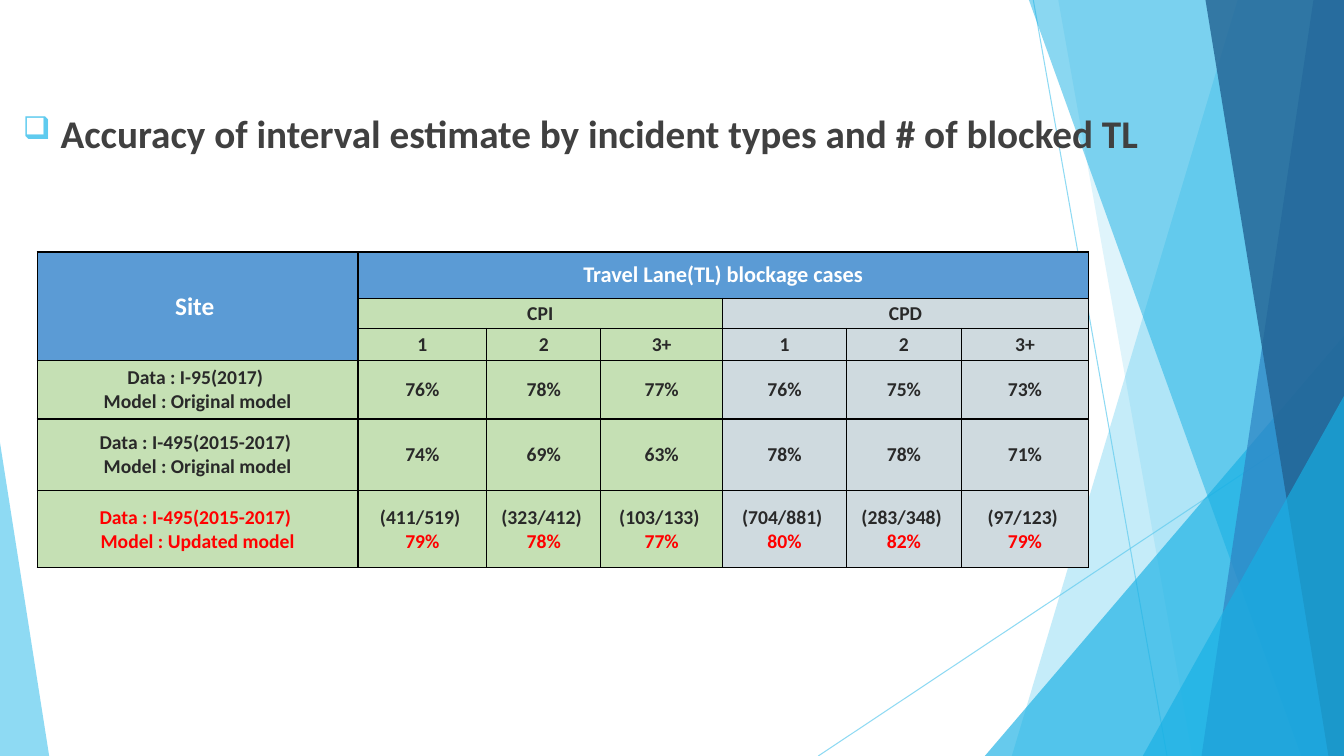
from dataclasses import dataclass

from lxml import etree
from pptx import Presentation
from pptx.dml.color import RGBColor
from pptx.enum.shapes import MSO_CONNECTOR, MSO_SHAPE
from pptx.enum.text import MSO_ANCHOR, PP_ALIGN
from pptx.oxml.ns import qn
from pptx.util import Cm, Pt

STRAIGHT = MSO_CONNECTOR.STRAIGHT
TRIANGLE = MSO_SHAPE.ISOSCELES_TRIANGLE
MIDDLE = MSO_ANCHOR.MIDDLE
CENTER = PP_ALIGN.CENTER
WIDTH, HEIGHT = 33.87, 19.05


@dataclass(frozen=True)
class Theme:
    font: str = "Calibri"
    sky: str = "5FCBEF"
    cyan: str = "17B0E4"
    blue: str = "2E83C3"
    navy: str = "226292"
    title: str = "404040"
    header: str = "5B9BD5"
    green: str = "C5E0B4"
    grey: str = "CFDADF"
    white: str = "FFFFFF"
    ink: str = "292929"
    red: str = "FF0000"
    border: str = "000000"
    title_size: int = 28
    site_size: int = 18
    header_size: int = 16
    body_size: int = 14


class SlideBuilder:
    def __init__(self, s, theme):
        self.s = s
        self.theme = theme

    def set_alpha(self, sp, percent):
        for color in sp._element.spPr.iter(qn("a:srgbClr")):
            etree.SubElement(color, qn("a:alpha"), val=str(percent * 1000))

    def line(self, x1, y1, x2, y2, color, alpha):
        cn = self.s.shapes.add_connector(STRAIGHT, Cm(x1), Cm(y1), Cm(x2), Cm(y2))
        cn.line.color.rgb = RGBColor.from_string(color)
        cn.line.width = Pt(0.75)
        self.set_alpha(cn, alpha)
        etree.SubElement(cn._element.spPr, qn("a:effectLst"))

    def paint(self, sp, color, alpha):
        sp.shadow.inherit = False
        sp.fill.solid()
        sp.fill.fore_color.rgb = RGBColor.from_string(color)
        sp.line.fill.background()
        self.set_alpha(sp, alpha)

    def right_band(self, top_x, bottom_x, color, alpha):
        """Full-height band from a slanted left edge to the slide's right side."""
        fb = self.s.shapes.build_freeform(Cm(top_x), 0)
        fb.add_line_segments([(Cm(WIDTH), 0), (Cm(WIDTH), Cm(HEIGHT)),
                              (Cm(bottom_x), Cm(HEIGHT))], close=True)
        self.paint(fb.convert_to_shape(), color, alpha)

    def corner(self, x, y, w, apex, color, alpha):
        """Triangle standing on the slide's bottom edge."""
        sp = self.s.shapes.add_shape(TRIANGLE, Cm(x), Cm(y), Cm(w), Cm(HEIGHT - y))
        sp.adjustments[0] = apex
        self.paint(sp, color, alpha)

    def run(self, p, text, size, color):
        r = p.add_run()
        r.text = text
        r.font.name = self.theme.font
        r.font.size = Pt(size)
        r.font.bold = True
        r.font.color.rgb = RGBColor.from_string(color)

    def bullet_title(self, x, y, w, h, text):
        tf = self.s.shapes.add_textbox(Cm(x), Cm(y), Cm(w), Cm(h)).text_frame
        tf.word_wrap = True
        p = tf.paragraphs[0]
        pPr = p._p.get_or_add_pPr()
        pPr.set("marL", str(Cm(0.95)))
        pPr.set("indent", str(-Cm(0.95)))
        color = etree.SubElement(pPr, qn("a:buClr"))
        etree.SubElement(color, qn("a:srgbClr"), val=self.theme.sky)
        etree.SubElement(pPr, qn("a:buSzPct"), val="80000")
        etree.SubElement(pPr, qn("a:buChar"), char="❑")
        self.run(p, text, self.theme.title_size, self.theme.title)

    def table(self, x, y, widths, heights):
        frame = self.s.shapes.add_table(len(heights), len(widths), Cm(x), Cm(y),
                                        Cm(sum(widths)), Cm(sum(heights)))
        tbl = frame.table
        tbl.first_row = tbl.horz_banding = False
        for column, width in zip(tbl.columns, widths):
            column.width = Cm(width)
        for row, height in zip(tbl.rows, heights):
            row.height = Cm(height)
        for cell in tbl.iter_cells():
            self.frame_cell(cell)
        return tbl

    def frame_cell(self, cell):
        cell.margin_left = cell.margin_right = cell.margin_top = cell.margin_bottom = 0
        cell.vertical_anchor = MIDDLE
        tcPr = cell._tc.get_or_add_tcPr()
        for side in ("a:lnL", "a:lnR", "a:lnT", "a:lnB"):
            ln = etree.SubElement(tcPr, qn(side), w=str(Pt(1)))
            fill = etree.SubElement(ln, qn("a:solidFill"))
            etree.SubElement(fill, qn("a:srgbClr"), val=self.theme.border)

    def cell(self, cell, lines, fill, size, colors):
        cell.fill.solid()
        cell.fill.fore_color.rgb = RGBColor.from_string(fill)
        tf = cell.text_frame
        for i, (text, color) in enumerate(zip(lines, colors)):
            p = tf.add_paragraph() if i else tf.paragraphs[0]
            p.alignment = CENTER
            self.run(p, text, size, color)


def draw_backdrop(b, t):
    b.line(26.04, 0, 29.41, HEIGHT, t.sky, 70)
    b.line(WIDTH, 10.24, 20.62, HEIGHT, t.sky, 70)
    b.right_band(31.19, 25.5, t.sky, 36)
    b.right_band(26.67, 30.05, t.sky, 20)
    b.corner(24.82, 8.46, 9.05, 1, t.cyan, 66)
    b.right_band(25.93, 32.79, t.cyan, 50)
    b.right_band(33.1, 30.28, t.blue, 70)
    b.right_band(30.38, 33.48, t.navy, 80)
    b.corner(28.8, 9.98, 5.07, 1, t.cyan, 66)
    b.corner(0, 11.15, 1.24, 0, t.sky, 70)


def draw_accuracy_table(b, t):
    tbl = b.table(0.94, 6.35, [8.08, 3.25, 2.87, 3.07, 3.12, 2.9, 3.2],
                  [1.17, 0.76, 0.81, 1.47, 1.81, 1.94])

    # Merged headings
    headings = [
        (0, 0, 2, 0, "Site ", t.header, t.site_size, t.white),
        (0, 1, 0, 6, "Travel Lane(TL) blockage cases", t.header, t.header_size, t.white),
        (1, 1, 1, 3, "CPI", t.green, t.body_size, t.ink),
        (1, 4, 1, 6, "CPD", t.grey, t.body_size, t.ink),
    ]
    for row, col, last_row, last_col, text, fill, size, color in headings:
        tbl.cell(row, col).merge(tbl.cell(last_row, last_col))
        b.cell(tbl.cell(row, col), [text], fill, size, [color])

    # Lane counts and accuracy by site; line breaks separate paragraphs
    rows = [
        [None, "1", "2", "3+", "1", "2", "3+"],
        ["Data : I-95(2017) \nModel : Original model",
         "76%", "78%", "77%", "76%", "75%", "73%"],
        ["Data : I-495(2015-2017) \nModel : Original model",
         "74%", "69%", "63%", "78%", "78%", "71%"],
        ["Data : I-495(2015-2017) \nModel : Updated model",
         "(411/519) \n79%", "(323/412) \n78%", "(103/133) \n77%",
         "(704/881) \n80%", "(283/348) \n82%", "(97/123) \n79%"],
    ]
    for row, texts in enumerate(rows, start=2):
        updated = row == 5
        for col, text in enumerate(texts):
            if text is None:
                continue
            first = t.red if updated and col == 0 else t.ink
            second = t.red if updated else t.ink
            fill = t.green if col <= 3 else t.grey
            b.cell(tbl.cell(row, col), text.split("\n"), fill, t.body_size,
                   [first, second])


def main():
    prs = Presentation()
    prs.slide_width, prs.slide_height = Cm(WIDTH), Cm(HEIGHT)
    theme = Theme()
    b = SlideBuilder(prs.slides.add_slide(prs.slide_layouts[6]), theme)
    draw_backdrop(b, theme)
    b.bullet_title(0.33, 2.62, 29.24, 2.69,
                   "Accuracy of interval estimate by incident types and # of blocked TL")
    draw_accuracy_table(b, theme)
    prs.save("out.pptx")


if __name__ == "__main__":
    main()
